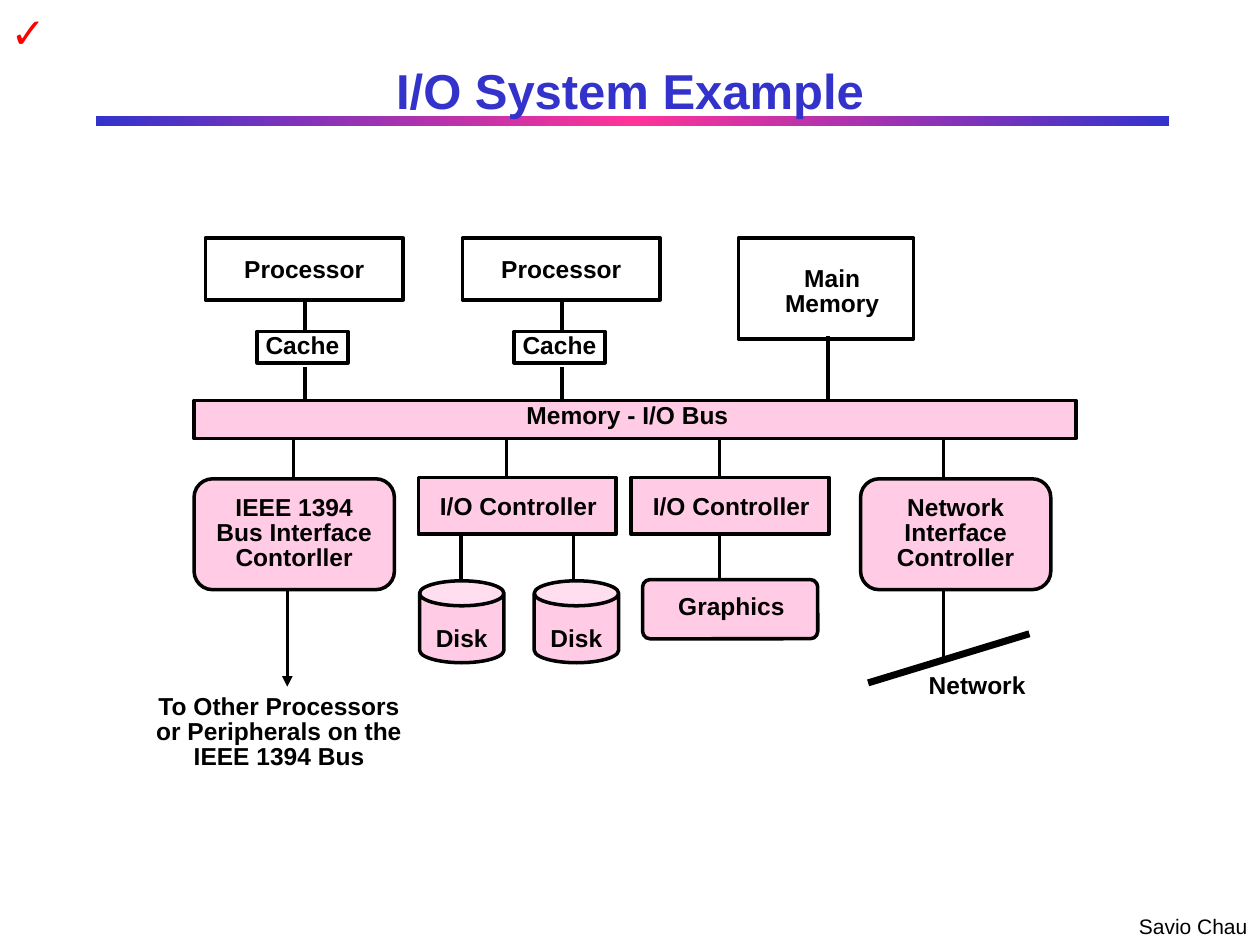
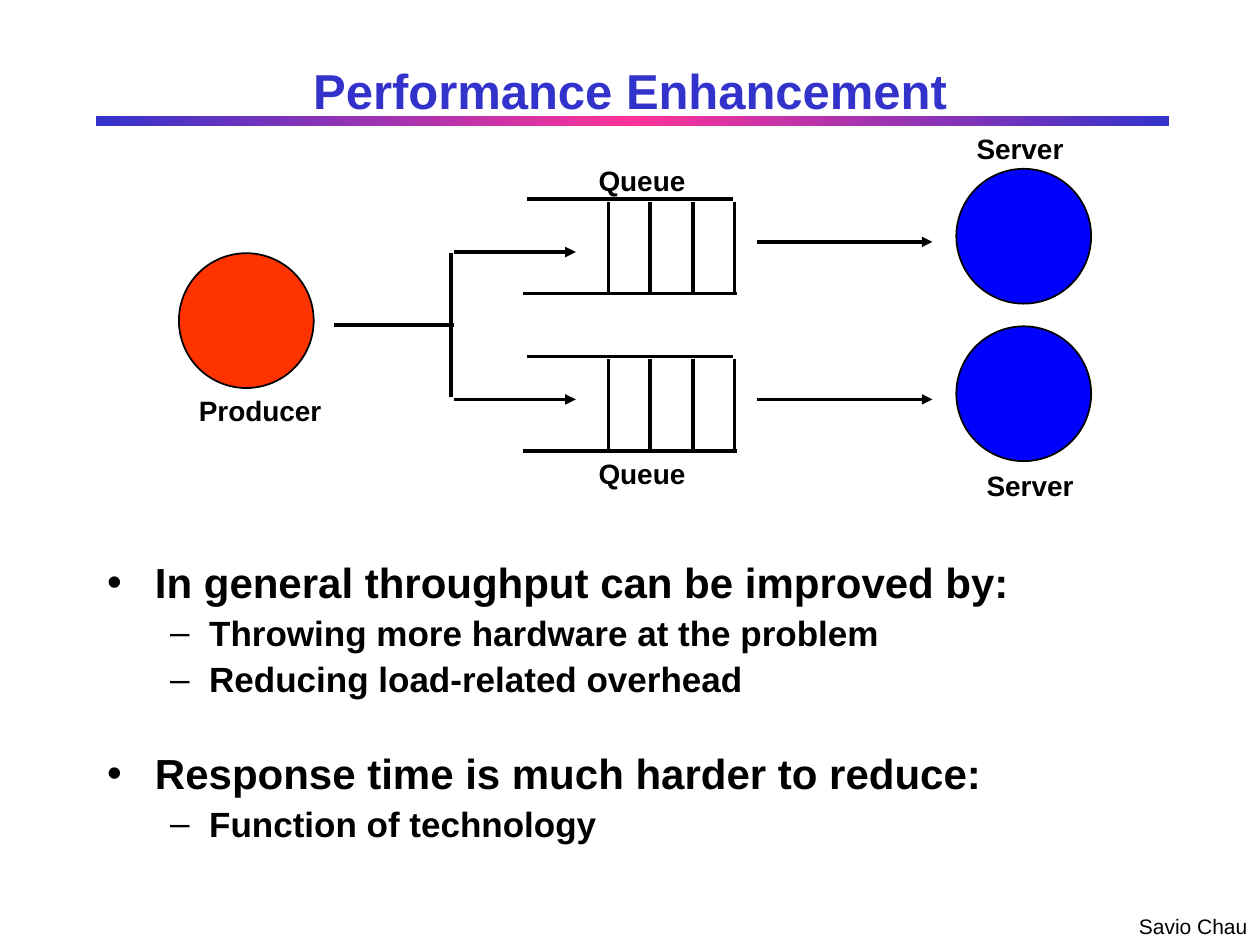
"""Builds two lecture slides: an I/O system diagram and a queueing performance diagram."""
from copy import deepcopy

from pptx import Presentation
from pptx.dml.color import RGBColor
from pptx.enum.shapes import MSO_CONNECTOR as Connector, MSO_SHAPE as Preset
from pptx.enum.text import MSO_ANCHOR as Anchor, MSO_AUTO_SIZE as AutoSize, PP_ALIGN as Align
from pptx.oxml.ns import qn
from pptx.util import Inches, Pt

COLORS = {
    "title": "3333CC", "accent": "FF3399", "ink": "000000", "device": "FF99CC",
    "producer": "FF3300", "server": "0000FF", "check": "FF0000",
}
RGB = {name: RGBColor.from_string(value) for name, value in COLORS.items()}
MARGINS = ("margin_left", "margin_top", "margin_right", "margin_bottom")


def draw(slide, preset, at, text="", size=14, color="ink", bold=True, fill=None, alpha=None,
         line=2, adjust=None, insets=(0.07, 0.03, 0.07, 0.03), wrap=False,
         anchor=Anchor.MIDDLE, spacing=0.85):
    """Add a preset shape, or a text box when preset is None, with centred text."""
    place = [Inches(value) for value in at]
    if preset is None:
        item = slide.shapes.add_textbox(*place)
    else:
        item = slide.shapes.add_shape(preset, *place)
        item.shadow.inherit = False
        if adjust is not None:
            item.adjustments[0] = adjust
        if fill:
            item.fill.solid()
            item.fill.fore_color.rgb = RGB[fill]
            if alpha:
                tint = item._element.spPr.find(qn("a:solidFill"))[0]
                tint.makeelement(qn("a:alpha"), {})
                tint.add_alpha(alpha) if hasattr(tint, "add_alpha") else tint.append(
                    tint.makeelement(qn("a:alpha"), {"val": str(alpha * 1000)}))
        else:
            item.fill.background()
        if line:
            item.line.color.rgb = RGB["ink"]
            item.line.width = Pt(line)
        else:
            item.line.fill.background()
    if text:
        frame = item.text_frame
        frame.text = text
        layout = dict(zip(MARGINS, map(Inches, insets)), word_wrap=wrap, vertical_anchor=anchor)
        for name, value in layout.items():
            setattr(frame, name, value)
        for paragraph in frame.paragraphs:
            paragraph.alignment = Align.CENTER
            paragraph.line_spacing = spacing
            for name, value in {"name": "Arial", "size": Pt(size), "bold": bold}.items():
                setattr(paragraph.font, name, value)
            paragraph.font.color.rgb = RGB[color]
    return item


def connect(slide, start, end, width=2, arrow=False):
    """Add a straight black line, with an arrowhead at its end if asked."""
    link = slide.shapes.add_connector(Connector.STRAIGHT, *map(Inches, (*start, *end)))
    link.line.color.rgb = RGB["ink"]
    link.line.width = Pt(width)
    properties = link._element.spPr
    if arrow:
        outline = properties.find(qn("a:ln"))
        outline.append(outline.makeelement(qn("a:tailEnd"), {"type": "triangle"}))
    properties.append(properties.makeelement(qn("a:effectLst"), {}))


deck = Presentation()
deck.slide_width, deck.slide_height = Inches(10), Inches(7.5)

system = deck.slides.add_slide(deck.slide_layouts[5])
performance = deck.slides.add_slide(deck.slide_layouts[1])

band = draw(system, Preset.RECTANGLE, (0.76, 0.92, 8.52, 0.08), line=None)
band.fill.gradient()
band.fill.gradient_angle = 0
stop_list = band._element.spPr.find(".//" + qn("a:gsLst"))
stop_list.insert(1, deepcopy(stop_list[0]))
for stop, position, color in zip(band.fill.gradient_stops, (0, 0.5, 1), ("title", "accent", "title")):
    stop.position = position
    stop.color.rgb = RGB[color]
author = draw(system, None, (8.94, 7.2, 1.06, 0.3), "Savio Chau", size=12, bold=False, spacing=1)
for shared in (band, author):
    deck.slide_master.shapes._spTree.append(shared._element)

for slide, heading in ((system, "I/O System Example"), (performance, "Performance Enhancement")):
    title = slide.shapes.title
    title.left, title.top, title.width, title.height = map(Inches, (0.75, 0.42, 8.5, 0.58))
    title.text = heading
    title.text_frame.auto_size = AutoSize.NONE
    title.text_frame.vertical_anchor = Anchor.MIDDLE
    paragraph = title.text_frame.paragraphs[0]
    paragraph.alignment = Align.CENTER
    for name, value in {"name": "Arial", "size": Pt(28), "bold": True}.items():
        setattr(paragraph.font, name, value)
    paragraph.font.color.rgb = RGB["title"]

pink = {"fill": "device", "alpha": 50}
bus_top, bus_bottom = 3.18, 3.48
draw(system, None, (-0.01, 0, 0.47, 0.5), "✓", size=24, color="check", spacing=1)
draw(system, Preset.RECTANGLE, (1.54, bus_top, 7, 0.3), "Memory - I/O Bus",
     insets=(0, 0.02, 0.12, 0.06), **pink)

for left in (1.63, 3.67):
    center = left + 0.79
    draw(system, Preset.RECTANGLE, (left, 1.89, 1.57, 0.49), "Processor", insets=(0, 0.06, 0, 0.03))
    draw(system, Preset.RECTANGLE, (left + 0.41, 2.63, 0.72, 0.25), "Cache")
    connect(system, (center, 2.64), (center, 2.37))
    connect(system, (center, bus_top), (center, 2.91))
draw(system, Preset.RECTANGLE, (5.86, 1.89, 1.39, 0.8), "Main\nMemory", insets=(0.1, 0.06, 0, 0))
connect(system, (6.57, bus_top), (6.57, 2.67))

for left in (3.32, 5.01):
    draw(system, Preset.RECTANGLE, (left, 3.79, 1.57, 0.45), "I/O Controller",
         insets=(0.02, 0.03, 0, 0), **pink)
for left, width, label in ((1.54, 1.59, "IEEE 1394\vBus Interface\vContorller"),
                           (6.83, 1.51, "Network\vInterface\vController")):
    draw(system, Preset.ROUNDED_RECTANGLE, (left, 3.8, width, 0.88), label, adjust=0.167,
         insets=(0.1,) * 4, wrap=True, anchor=Anchor.TOP, **pink)
for x in (2.33, 4.02, 5.71, 7.49):
    connect(system, (x, 3.8), (x, bus_bottom))

for left in (3.33, 4.24):
    draw(system, Preset.CAN, (left, 4.61, 0.67, 0.65), "Disk", adjust=0.305,
         insets=(0.1, 0.2, 0.1, 0.05), spacing=1, **pink)
draw(system, Preset.ROUNDED_RECTANGLE, (5.1, 4.6, 1.39, 0.47), "Graphics", adjust=0.125,
     insets=(0.02, 0, 0, 0.02), **pink)
for x in (3.66, 4.55, 5.71):
    connect(system, (x, 4.6), (x, 4.24))

connect(system, (7.49, 4.68), (7.49, 5.23))
connect(system, (6.89, 5.42), (8.17, 5.03), width=4)
draw(system, None, (7.3, 5.33, 0.91, 0.25), "Network")
connect(system, (2.28, 4.69), (2.28, 5.45), arrow=True)
draw(system, None, (1.15, 5.49, 2.13, 0.65),
     "To Other Processors or Peripherals on the IEEE 1394 Bus", wrap=True, anchor=Anchor.TOP)

draw(performance, Preset.OVAL, (1.42, 2.01, 1.07, 1.07), fill="producer", line=1)
connect(performance, (3.6, 2.58), (2.65, 2.58))
connect(performance, (3.58, 2.01), (3.58, 3.15))
for top, entry in ((1.58, 2), (2.83, 3.17)):
    connect(performance, (4.18, top), (5.82, top))
    connect(performance, (5.85, top + 0.75), (4.15, top + 0.75))
    for slot in range(4):
        x = round(4.83 + slot / 3, 2)
        connect(performance, (x, top + 0.02), (x, top + 0.74))
    connect(performance, (3.6, entry), (4.57, entry), arrow=True)
    connect(performance, (6.01, top + 0.34), (7.4, top + 0.34), arrow=True)
    draw(performance, Preset.OVAL, (7.59, top - 0.24, 1.07, 1.07), fill="server", line=1)

for label, left, top, width in (("Producer", 1.48, 3.08, 1.17), ("Queue", 4.65, 1.25, 0.89),
                                ("Queue", 4.65, 3.58, 0.89), ("Server", 7.65, 1, 0.89),
                                ("Server", 7.73, 3.67, 0.89)):
    draw(performance, None, (left, top, width, 0.36), label, size=16, spacing=1)

levels = (
    {"size": 24, "bullet": "•", "margin": 0.38, "hang": 0.38},
    {"size": 20, "bullet": "–", "margin": 0.81, "hang": 0.31},
)
points = (
    (0, 0, "In general throughput can be improved by:"),
    (1, 5, "Throwing more hardware at the problem"),
    (1, 5, "Reducing load-related overhead"),
    (0, 30, "Response time is much harder to reduce:"),
    (1, 5, "Function of technology"),
)
body = performance.placeholders[1]
body.left, body.top, body.width, body.height = map(Inches, (0.75, 4.41, 8.5, 2.43))
body.text_frame.text = "\n".join(text for _, _, text in points)
body.text_frame.auto_size = AutoSize.NONE
for paragraph, (level, before, _) in zip(body.text_frame.paragraphs, points):
    style = levels[level]
    properties = paragraph._p.get_or_add_pPr()
    properties.set("marL", str(Inches(style["margin"])))
    properties.set("indent", str(-Inches(style["hang"])))
    properties.append(properties.makeelement(qn("a:buChar"), {"char": style["bullet"]}))
    for name, value in {"level": level, "line_spacing": 0.9, "space_before": Pt(before)}.items():
        setattr(paragraph, name, value)
    for name, value in {"name": "Arial", "size": Pt(style["size"]), "bold": True}.items():
        setattr(paragraph.font, name, value)
    paragraph.font.color.rgb = RGB["ink"]

deck.save("out.pptx")
